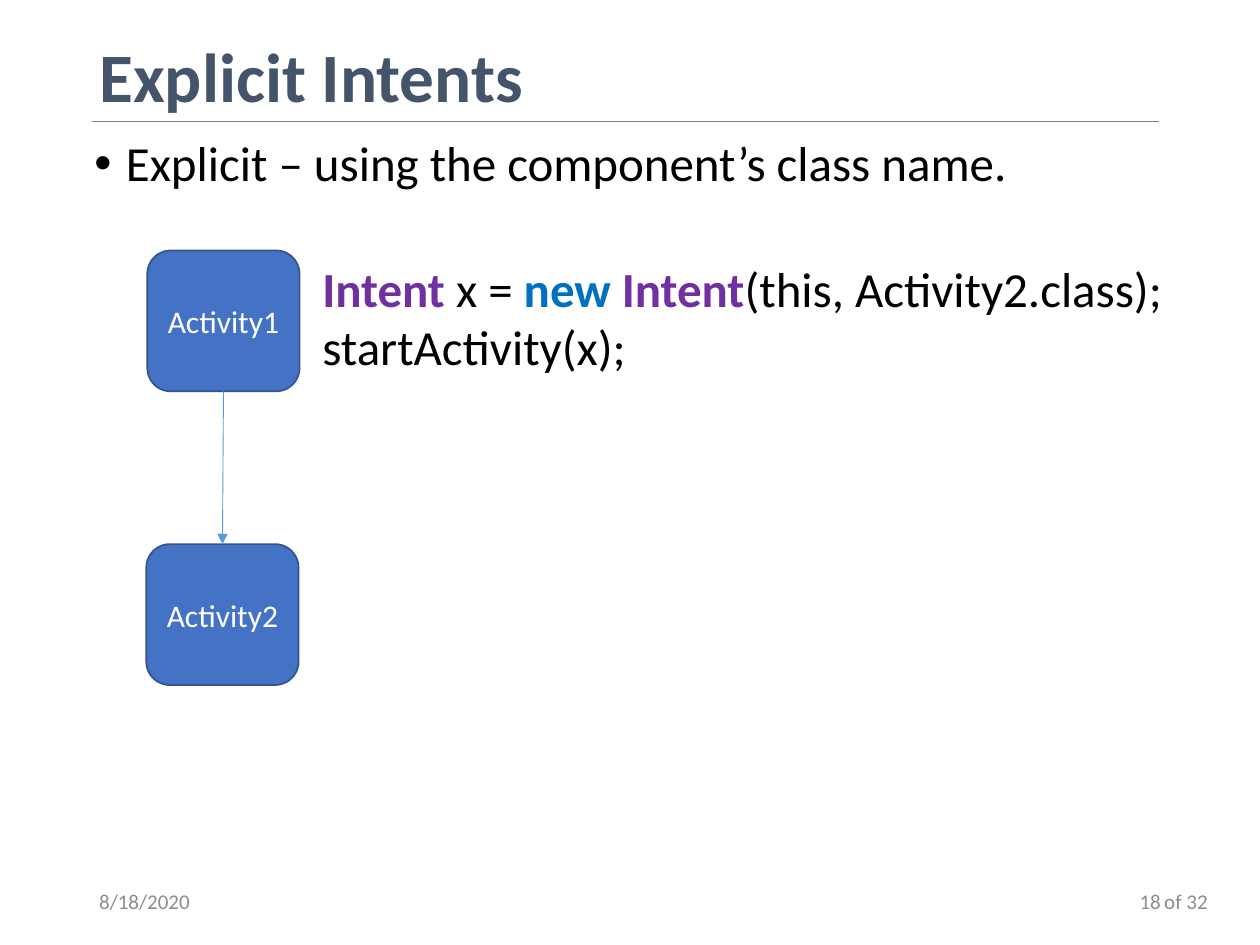
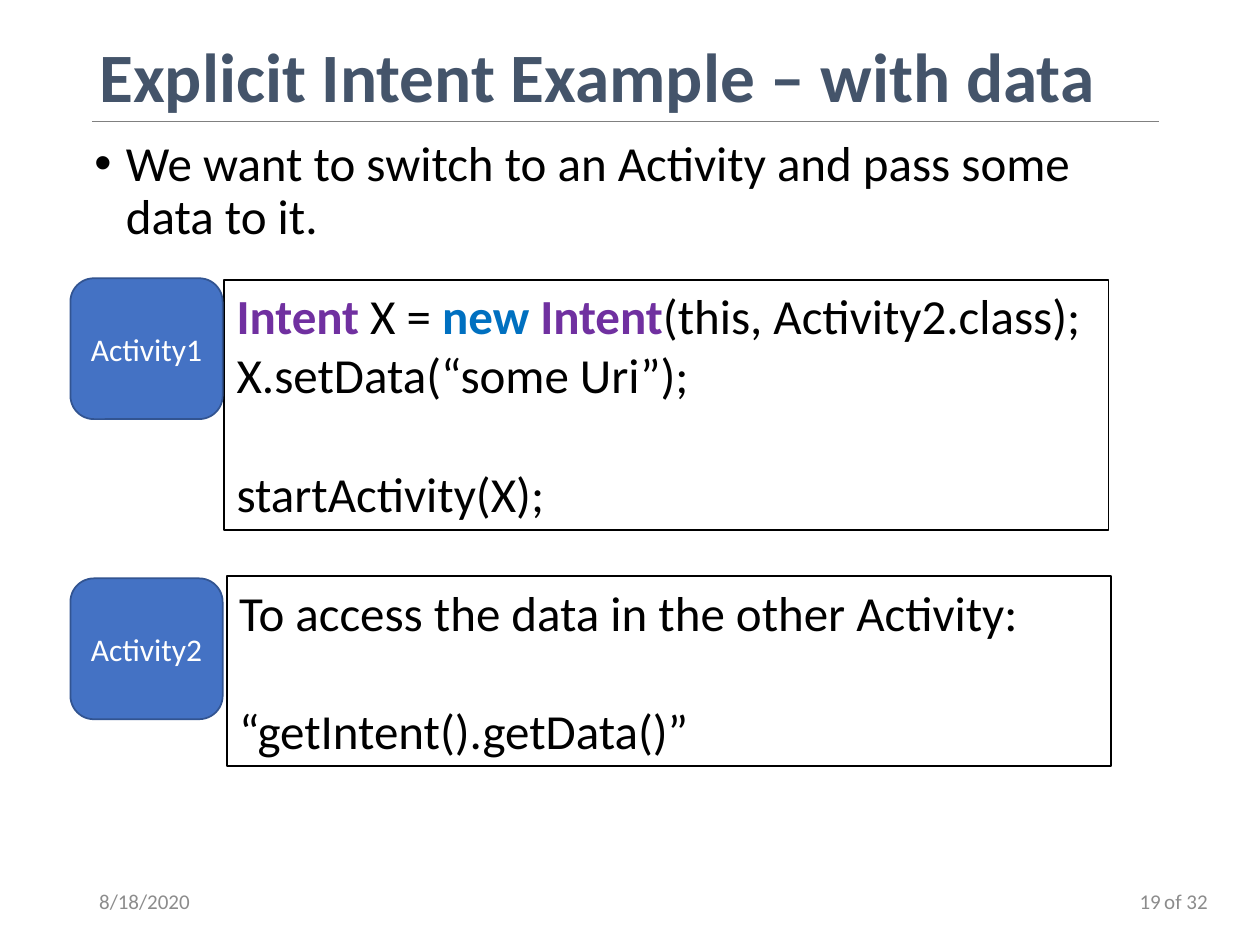
"""Build two slides on explicit intents, without and with data."""
from dataclasses import dataclass

import pptx
import pptx.dml.color
import pptx.enum.shapes
import pptx.enum.text
import pptx.oxml
import pptx.oxml.ns
import pptx.util
from pptx.util import Cm, Pt

SHAPE = pptx.enum.shapes.MSO_SHAPE
ALIGN = pptx.enum.text.PP_ALIGN
ANCHOR = pptx.enum.text.MSO_ANCHOR


@dataclass(frozen=True)
class Theme:
    font: str = "Calibri"
    title: str = "44546A"
    text: str = "000000"
    paper: str = "FFFFFF"
    type_name: str = "7030A0"
    keyword: str = "0070C0"
    footer: str = "8C8C8C"
    rule: str = "808080"
    box_fill: str = "4472C4"
    box_line: str = "325491"
    arrow: str = "5B9BD5"
    title_size: float = 39.6
    body_size: float = 28
    box_size: float = 18
    footer_size: float = 12
    blank_line: float = 34


THEME = Theme()


def intent_line(variable):
    return [
        ("Intent", THEME.type_name),
        (f" {variable} = ", None),
        ("new ", THEME.keyword),
        ("Intent", THEME.type_name),
        ("(this, Activity2.class);", None),
    ]


DATE, PAGE_TOTAL = "8/18/2020", "of 32"
BOX_SIZE = (3.07, 2.84)
SLIDES = [
    {
        "title": "Explicit Intents",
        "bullet": "Explicit – using the component’s class name.",
        "page": "18",
        "activities": [("Activity1", 2.97, 5.05), ("Activity2", 2.95, 10.97)],
        "arrow": True,
        "code": [
            {"at": (6.25, 5.08, 17.65, 2.64), "framed": False, "gap_before": None,
             "lines": [intent_line("x"), [("startActivity(x);", None)]]},
        ],
    },
    {
        "title": "Explicit Intent Example – with data",
        "bullet": "We want to switch to an Activity and pass some data to it.",
        "page": "19",
        "activities": [("Activity1", 1.42, 5.61), ("Activity2", 1.42, 11.66)],
        "arrow": False,
        "code": [
            {"at": (4.52, 5.64, 17.83, 5.05), "framed": True, "gap_before": 2,
             "lines": [intent_line("X"), [("X.setData(“some Uri”);", None)],
                       [("startActivity(X);", None)]]},
            {"at": (4.57, 11.61, 17.83, 3.84), "framed": True, "gap_before": 1,
             "lines": [[("To access the data in the other Activity:", None)],
                       [("“getIntent().getData()”", None)]]},
        ],
    },
]


def rgb(value):
    return pptx.dml.color.RGBColor.from_string(value)


def lengths(values):
    return [Cm(value) for value in values]


def style(paragraph, size, color, align=ALIGN.LEFT, bold=False):
    paragraph.alignment = align
    font = paragraph.font
    font.name, font.size, font.bold = THEME.font, Pt(size), bold
    font.color.rgb = rgb(color)


def fill_placeholder(placeholder, at, text, size, color, bold=False):
    placeholder.left, placeholder.top, placeholder.width, placeholder.height = lengths(at)
    frame = placeholder.text_frame
    frame.text = text
    frame.auto_size = pptx.enum.text.MSO_AUTO_SIZE.NONE
    paragraph = frame.paragraphs[0]
    style(paragraph, size, color, bold=bold)
    paragraph.line_spacing = 0.9
    return paragraph


def add_line(slide, ends, color):
    line = slide.shapes.add_connector(
        pptx.enum.shapes.MSO_CONNECTOR.STRAIGHT, *lengths(ends))
    line.line.color.rgb = rgb(color)
    line.line.width = Pt(0.5)
    properties = line._element.spPr
    properties.append(pptx.oxml.parse_xml(
        f"<a:effectLst {pptx.oxml.ns.nsdecls('a')}/>"))
    return line


def add_box(slide, kind, at, fill, outline):
    shape = slide.shapes.add_shape(kind, *lengths(at))
    shape.shadow.inherit = False
    shape.fill.solid()
    shape.fill.fore_color.rgb = rgb(fill)
    shape.line.color.rgb = rgb(outline)
    shape.line.width = Pt(1)
    return shape


def add_activity(slide, name, left, top):
    shape = add_box(slide, SHAPE.ROUNDED_RECTANGLE, (left, top, *BOX_SIZE),
                    THEME.box_fill, THEME.box_line)
    frame = shape.text_frame
    frame.text = name
    frame.vertical_anchor = ANCHOR.MIDDLE
    style(frame.paragraphs[0], THEME.box_size, THEME.paper, ALIGN.CENTER)
    return shape


def add_arrow(slide, start, end):
    arrow = add_line(slide, (0, 0, 0, 0), THEME.arrow)
    arrow.begin_connect(start, 2)
    arrow.end_connect(end, 0)
    arrow.line._get_or_add_ln().append(pptx.oxml.parse_xml(
        f"<a:tailEnd {pptx.oxml.ns.nsdecls('a')} type='triangle'/>"))


def add_code(slide, at, framed, gap_before, lines):
    if framed:
        shape = add_box(slide, SHAPE.RECTANGLE, at, THEME.paper, THEME.text)
    else:
        shape = slide.shapes.add_textbox(*lengths(at))
    frame = shape.text_frame
    frame.word_wrap = framed
    frame.vertical_anchor = ANCHOR.TOP
    for index, pieces in enumerate(lines):
        paragraph = frame.add_paragraph() if index else frame.paragraphs[0]
        style(paragraph, THEME.body_size, THEME.text)
        if index == gap_before:
            paragraph.space_before = Pt(THEME.blank_line)
        for text, color in pieces:
            run = paragraph.add_run()
            run.text = text
            if color:
                run.font.bold = True
                run.font.color.rgb = rgb(color)


def add_footer(slide, page):
    for text, at, align, wrap in [
        (PAGE_TOTAL, (23.22, 17.78, 1.4, 0.76), ALIGN.LEFT, False),
        (DATE, (1.75, 17.65, 5.72, 1.02), ALIGN.LEFT, True),
        (page, (17.93, 17.65, 5.72, 1.02), ALIGN.RIGHT, True),
    ]:
        frame = slide.shapes.add_textbox(*lengths(at)).text_frame
        frame.text = text
        frame.word_wrap = wrap
        frame.vertical_anchor = ANCHOR.MIDDLE
        style(frame.paragraphs[0], THEME.footer_size, THEME.footer, align)


def add_slide(presentation, content):
    slide = presentation.slides.add_slide(presentation.slide_layouts[1])
    title, body = slide.placeholders
    fill_placeholder(title, (1.75, 1.02, 21.89, 1.19), content["title"],
                     THEME.title_size, THEME.title, bold=True)
    title.text_frame.vertical_anchor = ANCHOR.MIDDLE
    bullet = fill_placeholder(body, (1.65, 2.67, 21.64, 14.43), content["bullet"],
                              THEME.body_size, THEME.text)
    bullet.space_before = Pt(10)
    indent = bullet._p.get_or_add_pPr()
    indent.set("marL", str(Pt(18)))
    indent.set("indent", str(-Pt(18)))
    add_line(slide, (1.85, 2.44, 23.37, 2.44), THEME.rule)
    for block in content["code"]:
        add_code(slide, **block)
    activities = [add_activity(slide, *activity) for activity in content["activities"]]
    if content["arrow"]:
        add_arrow(slide, *activities)
    add_footer(slide, content["page"])


def main():
    presentation = pptx.Presentation()
    presentation.slide_width, presentation.slide_height = Cm(25.4), Cm(19.05)
    for content in SLIDES:
        add_slide(presentation, content)
    presentation.save("out.pptx")


if __name__ == "__main__":
    main()
